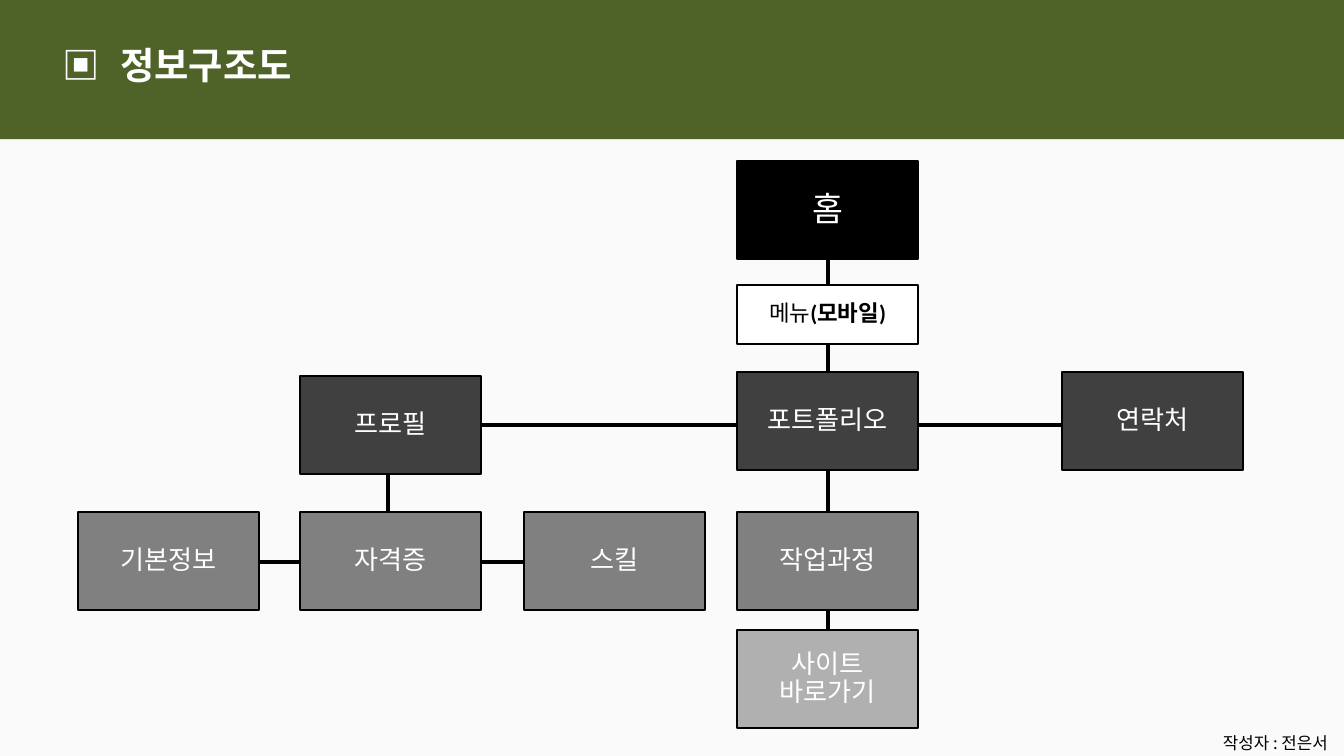
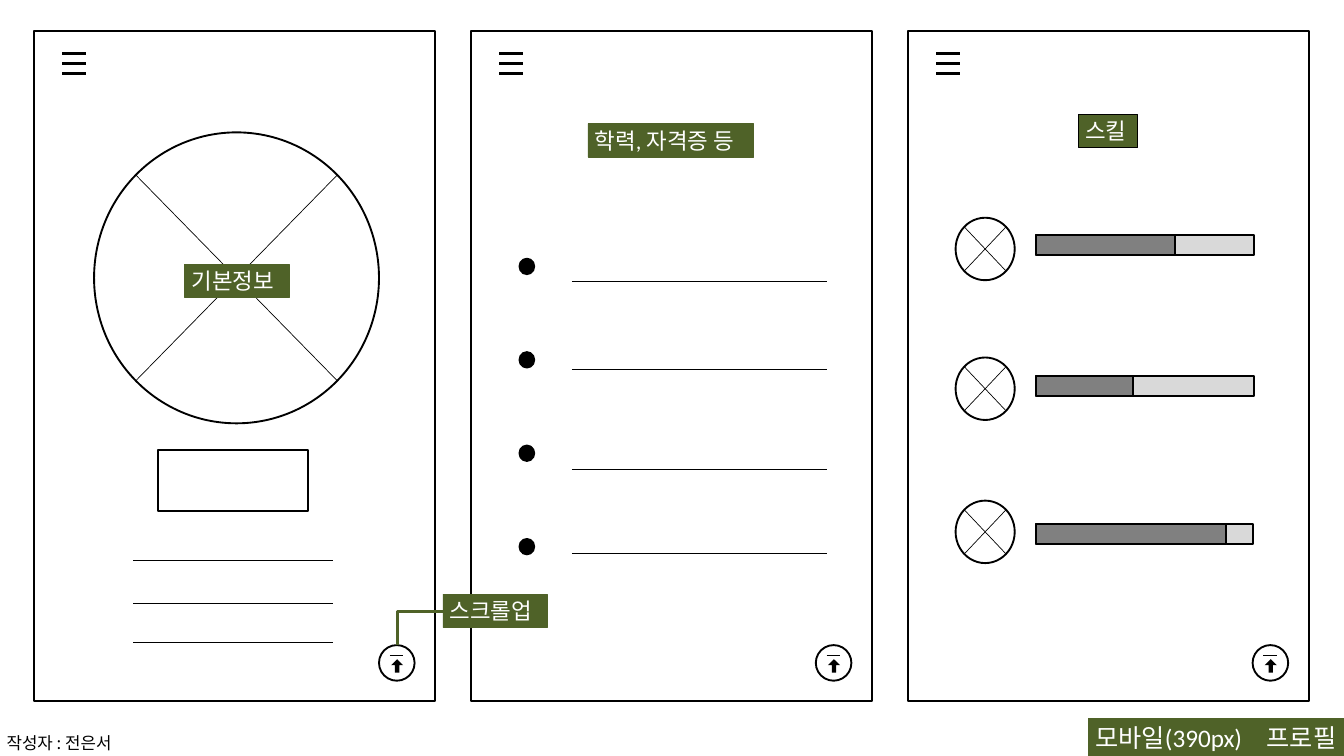
import math
from dataclasses import dataclass

import pptx
import pptx.dml.color
import pptx.enum.shapes
import pptx.enum.text
import pptx.oxml
import pptx.oxml.ns
import pptx.util
from pptx.util import Inches

SHAPE = pptx.enum.shapes.MSO_SHAPE
CONNECTOR = pptx.enum.shapes.MSO_CONNECTOR
ALIGN = pptx.enum.text.PP_ALIGN
ANCHOR = pptx.enum.text.MSO_ANCHOR
qn = pptx.oxml.ns.qn


@dataclass(frozen=True)
class Theme:
    green: str = "4F6228"
    black: str = "000000"
    white: str = "FFFFFF"
    page: str = "FAFAFA"
    dark: str = "404040"
    mid: str = "808080"
    light: str = "B0B0B0"
    pale: str = "D9D9D9"
    font: str = "Calibri"
    korean: str = "Noto Sans CJK KR"
    title: int = 40
    home: int = 36
    node: int = 28
    screen: int = 27
    label: int = 24
    footer: int = 18
    thin: float = 0.75
    outline: float = 2
    thick: float = 3
    trunk: float = 4.5


T = Theme()
NODE_W, NODE_H = 2.69, 1.46
TRUNK_X = 10.97
PHONE_X = [0.51 + 6.5 * i for i in range(3)]


def rgb(color):
    return pptx.dml.color.RGBColor.from_string(color)


def write(tf, text, size=T.label, color=T.white, font=T.font, bold=False,
          bold_tail="", align=ALIGN.LEFT, tab=None, insets=(0.1, 0, 0, 0)):
    """Fill a text frame; bold_tail is an extra bold run, tab a stop in inches."""
    tf.word_wrap = True
    tf.auto_size = pptx.enum.text.MSO_AUTO_SIZE.NONE
    tf.vertical_anchor = ANCHOR.MIDDLE
    tf.margin_left, tf.margin_top, tf.margin_right, tf.margin_bottom = map(Inches, insets)
    p = tf.paragraphs[0]
    p.text = text
    p.alignment = align
    if bold_tail:
        p.add_run().text = bold_tail
    if tab:
        tabs = pptx.oxml.parse_xml(
            f'<a:tabLst {pptx.oxml.ns.nsdecls("a")}>'
            f'<a:tab pos="{Inches(tab)}" algn="l"/></a:tabLst>')
        p._p.get_or_add_pPr().append(tabs)
    for r in p.runs:
        r.font.size = pptx.util.Pt(size)
        r.font.name = font
        r.font.bold = bold or r.text == bold_tail
        r.font.color.rgb = rgb(color)
        east_asian = pptx.oxml.parse_xml(
            f'<a:ea {pptx.oxml.ns.nsdecls("a")} typeface="{T.korean}"/>')
        r.font._element.append(east_asian)


def add_box(shapes, x, y, w, h, kind=SHAPE.RECTANGLE, fill=None,
            line=T.black, width=T.outline):
    sp = shapes.add_shape(kind, Inches(x), Inches(y), Inches(w), Inches(h))
    sp.shadow.inherit = False
    if fill:
        sp.fill.solid()
        sp.fill.fore_color.rgb = rgb(fill)
    else:
        sp.fill.background()
    if line:
        sp.line.color.rgb = rgb(line)
        sp.line.width = pptx.util.Pt(width)
    else:
        sp.line.fill.background()
    return sp


def add_line(shapes, x1, y1, x2, y2, width=T.thin, color=T.black, kind=CONNECTOR.STRAIGHT):
    c = shapes.add_connector(kind, Inches(x1), Inches(y1), Inches(x2), Inches(y2))
    c.line.color.rgb = rgb(color)
    c.line.width = pptx.util.Pt(width)
    c._element.spPr.append(pptx.oxml.parse_xml(f'<a:effectLst {pptx.oxml.ns.nsdecls("a")}/>'))
    return c


def add_slide(prs, background):
    s = prs.slides.add_slide(prs.slide_layouts[5])
    s.background.fill.solid()
    s.background.fill.fore_color.rgb = rgb(background)
    return s


def set_title(s, text, x, y, w, h, **style):
    """Place the title placeholder in front of what is already on the slide."""
    title = s.shapes.title
    title.left, title.top, title.width, title.height = map(Inches, (x, y, w, h))
    write(title.text_frame, text, **style)
    title._element.getparent().append(title._element)
    return title


def add_footer(s, x):
    sp = s.shapes.add_textbox(Inches(x), Inches(10.85), Inches(1.9), Inches(0.4))
    write(sp.text_frame, "작성자 : 전은서", size=T.footer, color=T.black, font=T.korean)


def add_node(s, text, x, y, fill, h=NODE_H, **style):
    sp = add_box(s.shapes, x, y, NODE_W, h, fill=fill)
    write(sp.text_frame, text, align=ALIGN.CENTER, insets=(0.02,) * 4,
          **{"size": T.node, **style})
    sp.text_frame.paragraphs[0].line_spacing = 0.9


def add_label(s, text, x, y, w, line=T.green):
    sp = add_box(s.shapes, x, y, w, 0.5, fill=T.green, line=line, width=T.thin)
    write(sp.text_frame, text)


def add_crossed_circle(s, x, y, w, h):
    """Ellipse whose diagonals end on its outline."""
    g = s.shapes.add_group_shape().shapes
    add_box(g, x, y, w, h, SHAPE.OVAL, fill=T.white)
    cx, cy = x + w / 2, y + h / 2
    dx, dy = (side / 2 * math.cos(math.pi / 4) for side in (w, h))
    add_line(g, cx + dx, cy - dy, cx - dx, cy + dy)
    add_line(g, cx - dx, cy - dy, cx + dx, cy + dy)


def add_phone(s, x):
    """Screen outline with its menu icon and scroll-up button."""
    add_box(s.shapes, x, 0.46, 5.97, 9.97)
    menu = s.shapes.add_group_shape().shapes
    for y in (0.8, 0.95, 1.09):
        add_line(menu, x + 0.42, y, x + 0.77, y, T.thick)
    button = s.shapes.add_group_shape().shapes
    add_box(button, x + 5.13, 9.6, 0.53, 0.53, SHAPE.OVAL)
    arrow = add_box(button, x + 5.31, 9.81, 0.18, 0.2, SHAPE.UP_ARROW, fill=T.black, line=None)
    arrow.adjustments[0] = 0.36
    add_line(button, x + 5.29, 9.75, x + 5.49, 9.75, 1)


def add_scroll_link(s):
    """One-bend connector from the scroll-up button to its label."""
    c = add_line(s.shapes, 6.51, 9.69, 6, 9.01, T.thick, T.green, CONNECTOR.ELBOW)
    c._element.spPr.find(qn("a:xfrm")).set("rot", str(90 * 60000))
    c._element.spPr.find(qn("a:prstGeom")).set("prst", "bentConnector2")


def build_site_map(prs):
    s = add_slide(prs, T.page)
    for ends in ((12.32, 3.29, 12.32, 10.11), (5.77, 6.32, 17.39, 6.32),
                 (5.77, 6.88, 5.77, 8.36), (2.93, 8.36, 8.62, 8.36)):
        add_line(s.shapes, *ends, width=T.trunk)
    add_box(s.shapes, -0.08, -0.12, 20.25, 2.19, fill=T.green, line=None)
    set_title(s, "▣\t정보구조도", 0.83, 0.58, 3.96, 0.77,
              size=T.title, font=T.korean, bold=True, tab=0.86)
    add_footer(s, 18.1)

    add_node(s, "홈", TRUNK_X, 2.4, T.black, size=T.home)
    add_node(s, "메뉴", TRUNK_X, 4.24, T.white, h=0.88,
             size=T.label, color=T.black, bold_tail="(모바일)")
    for text, x, y, fill in (
            ("프로필", 4.47, 5.59, T.dark),
            ("포트폴리오", TRUNK_X, 5.54, T.dark),
            ("연락처", 15.81, 5.54, T.dark),
            ("기본정보", 1.16, 7.62, T.mid),
            ("자격증", 4.47, 7.62, T.mid),
            ("스킬", 7.8, 7.62, T.mid),
            ("작업과정", TRUNK_X, 7.62, T.mid),
            ("사이트\v바로가기", TRUNK_X, 9.38, T.light)):
        add_node(s, text, x, y, fill)


def draw_profile_screen(s):
    add_crossed_circle(s, 1.4, 1.97, 4.24, 4.33)
    add_label(s, "기본정보", 2.75, 3.93, 1.55)
    add_box(s.shapes, 2.35, 6.7, 2.23, 0.9)
    for y in (8.34, 8.98, 9.56):
        add_line(s.shapes, 1.98, y, 4.96, y)
    add_scroll_link(s)
    add_label(s, "스크롤업", 6.59, 8.84, 1.55)


def draw_education_screen(s):
    add_label(s, "학력, 자격증 등", 8.75, 1.84, 2.46)
    for i, y in enumerate((4.18, 5.49, 6.98, 8.24)):
        add_box(s.shapes, 7.73, 3.85 + 1.39 * i, 0.22, 0.23, SHAPE.OVAL, fill=T.black)
        add_line(s.shapes, 8.51, y, 12.3, y)


def draw_skill_screen(s):
    add_label(s, "스킬", 16.05, 1.7, 0.88, line=T.black)
    for circle_y, bar_y, full, level in (
            (3.24, 3.5, 3.24, 2.06), (5.32, 5.59, 3.24, 1.44), (7.45, 7.8, 3.22, 2.83)):
        add_crossed_circle(s, 14.22, circle_y, 0.88, 0.93)
        for w, fill in ((full, T.pale), (level, T.mid)):
            add_box(s.shapes, 15.42, bar_y, w, 0.3, fill=fill)


def build_profile_wireframe(prs):
    s = add_slide(prs, T.white)
    for x in PHONE_X:
        add_phone(s, x)
    draw_profile_screen(s)
    draw_education_screen(s)
    draw_skill_screen(s)
    title = set_title(s, "모바일(390px)\t프로필", 16.2, 10.69, 3.8, 0.56,
                      size=T.screen, tab=2.55)
    title.fill.solid()
    title.fill.fore_color.rgb = rgb(T.green)
    title.line.color.rgb = rgb(T.green)
    title.line.width = pptx.util.Pt(T.thin)
    add_footer(s, 0)


def main():
    prs = pptx.Presentation()
    prs.slide_width, prs.slide_height = Inches(20), Inches(11.25)
    build_site_map(prs)
    build_profile_wireframe(prs)
    prs.save("out.pptx")


if __name__ == "__main__":
    main()
